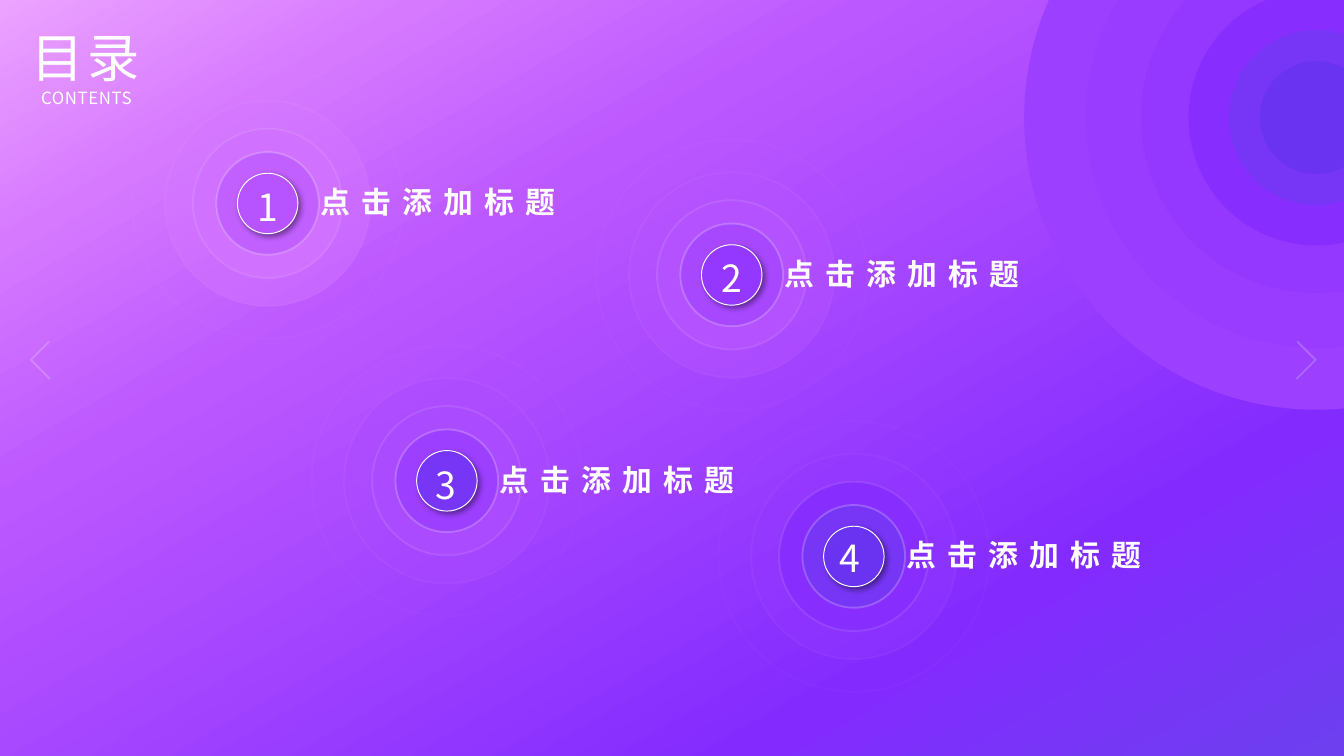
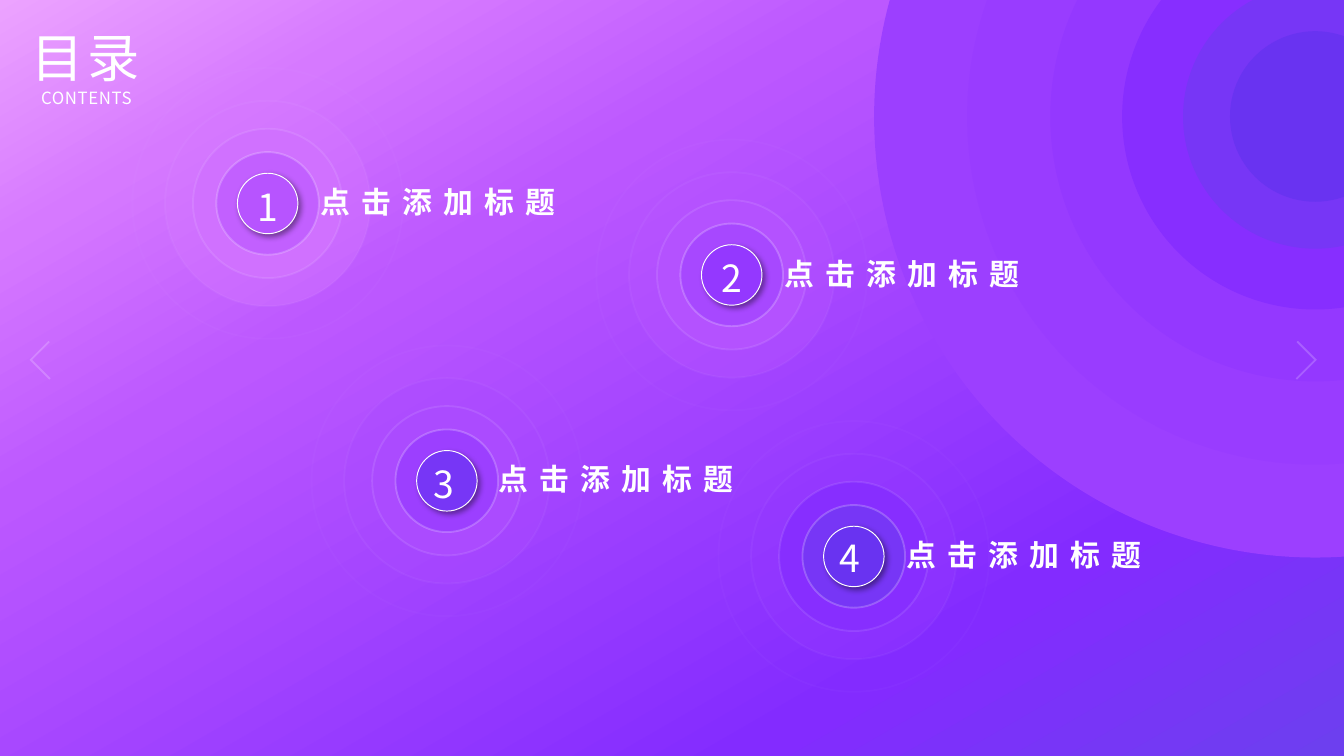
from dataclasses import dataclass

from pptx import Presentation
from pptx.dml.color import RGBColor
from pptx.enum.shapes import MSO_SHAPE
from pptx.enum.text import MSO_AUTO_SIZE, PP_ALIGN
from pptx.oxml import parse_xml
from pptx.oxml.ns import nsdecls, qn
from pptx.presentation import Presentation as Deck
from pptx.shapes.autoshape import Shape
from pptx.shapes.shapetree import GroupShapes, SlideShapes
from pptx.slide import Slide
from pptx.util import Pt

WIDTH, HEIGHT = 720, 405
FONT = "Noto Sans CJK SC"

WHITE = RGBColor(0xFF, 0xFF, 0xFF)
BLACK = RGBColor(0x00, 0x00, 0x00)
PINK = RGBColor(0xEC, 0xA3, 0xFF)
PALE_ORCHID = RGBColor(0xD6, 0x79, 0xFF)
ORCHID = RGBColor(0xD5, 0x78, 0xFF)
DEEP_ORCHID = RGBColor(0xD0, 0x71, 0xFF)
MAUVE = RGBColor(0xC2, 0x60, 0xFF)
LILAC = RGBColor(0xBC, 0x58, 0xFF)
HELIOTROPE = RGBColor(0xB7, 0x54, 0xFF)
AMETHYST = RGBColor(0xB4, 0x52, 0xFF)
LAVENDER = RGBColor(0xAB, 0x4B, 0xFF)
WISTERIA = RGBColor(0xAA, 0x4A, 0xFF)
IRIS = RGBColor(0xA7, 0x48, 0xFF)
PURPLE = RGBColor(0x9C, 0x3F, 0xFF)
GRAPE = RGBColor(0x99, 0x3C, 0xFF)
VIOLET = RGBColor(0x94, 0x38, 0xFF)
DEEP_VIOLET = RGBColor(0x87, 0x2E, 0xFF)
ELECTRIC = RGBColor(0x83, 0x2B, 0xFF)
INDIGO = RGBColor(0x77, 0x36, 0xF6)
SLATE = RGBColor(0x6D, 0x3F, 0xEF)
DEEP_INDIGO = RGBColor(0x69, 0x33, 0xF1)

BACKDROP_STOPS = (
    (0, PINK), (16, PALE_ORCHID), (33, LILAC), (77, ELECTRIC), (100, SLATE),
)
SUN_RINGS = (
    (313, PURPLE), (247, GRAPE), (188, VIOLET),
    (137, DEEP_VIOLET), (93.8, INDIGO), (60.5, DEEP_INDIGO),
)
HALO_SIZES = (110, 80, 55)
HALO_LINE_OPACITIES = (4, 9, 22)
HALO_FILL_OPACITIES = (40, 100, 100)
OUTER_RING_SIZE, DISC_SIZE = 145, 32.4


@dataclass(frozen=True)
class TextStyle:
    size: float
    spacing: float
    bold: bool = False
    align: PP_ALIGN | None = None
    wrap: bool = True


@dataclass(frozen=True)
class Entry:
    number: str
    x: float
    y: float
    number_dx: float
    number_dy: float
    halo: tuple[RGBColor, RGBColor, RGBColor]
    disc: RGBColor
    title: str = "点击添加标题"


@dataclass(frozen=True)
class ContentsPage:
    sun_x: float
    sun_y: float
    sun_scale: float
    text_nudges: dict[str, tuple[float, float]]


HEADING = TextStyle(28, 1.7, align=PP_ALIGN.JUSTIFY)
SUBHEADING = TextStyle(9, 0.3, wrap=False)
NUMBER = TextStyle(20, 6)
ENTRY_TITLE = TextStyle(16, 6, bold=True)

ENTRIES = (
    Entry("1", 143.4, 109, -12.5, -14, (ORCHID, DEEP_ORCHID, MAUVE), HELIOTROPE),
    Entry("2", 392, 147.3, -12.5, -14, (HELIOTROPE, AMETHYST, IRIS), VIOLET),
    Entry("3", 239.4, 257.6, -13.3, -13.5, (WISTERIA, LAVENDER, PURPLE), INDIGO),
    Entry("4", 457.4, 298.1, -14.6, -15.1, (VIOLET, DEEP_VIOLET, INDIGO), DEEP_INDIGO),
)
PAGES = (
    ContentsPage(705.2, 63, 1, {}),
    ContentsPage(704.6, 62.4, 1.51, {"3": (-0.8, -0.6)}),
)


def set_opacity(shape: Shape, part: str, percent: float) -> None:
    for color in shape.element.spPr.find(qn(part)).iter(qn("a:srgbClr")):
        color.append(parse_xml(
            f'<a:alpha {nsdecls("a")} val="{round(percent * 1000)}"/>'))


def add_circle(
    shapes: SlideShapes | GroupShapes,
    x: float,
    y: float,
    size: float,
    fill: RGBColor | None = None,
    fill_opacity: float = 100,
    line_width: float = 0,
    line_opacity: float = 100,
) -> Shape:
    circle = shapes.add_shape(
        MSO_SHAPE.OVAL, Pt(x - size / 2), Pt(y - size / 2), Pt(size), Pt(size))
    circle.shadow.inherit = False
    if fill is None:
        circle.fill.background()
    else:
        circle.fill.solid()
        circle.fill.fore_color.rgb = fill
        if fill_opacity < 100:
            set_opacity(circle, "a:solidFill", fill_opacity)
    if line_width:
        circle.line.width = Pt(line_width)
        circle.line.color.rgb = WHITE
        if line_opacity < 100:
            set_opacity(circle, "a:ln", line_opacity)
    else:
        circle.line.fill.background()
    return circle


def add_text(
    slide: Slide,
    text: str,
    box: tuple[float, float, float, float],
    style: TextStyle,
) -> None:
    frame = slide.shapes.add_textbox(*map(Pt, box)).text_frame
    frame.word_wrap = style.wrap
    frame.auto_size = MSO_AUTO_SIZE.SHAPE_TO_FIT_TEXT
    paragraph = frame.paragraphs[0]
    if style.align is not None:
        paragraph.alignment = style.align
    run = paragraph.add_run()
    run.text = text
    run.font.size = Pt(style.size)
    run.font.bold = style.bold
    run.font.color.rgb = WHITE
    run.font.name = FONT
    properties = run.font._element
    properties.set("spc", str(round(style.spacing * 100)))
    properties.append(parse_xml(f'<a:ea {nsdecls("a")} typeface="{FONT}"/>'))


def add_backdrop(slide: Slide) -> None:
    backdrop = slide.shapes.add_shape(
        MSO_SHAPE.RECTANGLE, 0, 0, Pt(WIDTH), Pt(HEIGHT))
    backdrop.shadow.inherit = False
    backdrop.line.fill.background()
    stops = "".join(
        f'<a:gs pos="{position * 1000}"><a:srgbClr val="{color}"/></a:gs>'
        for position, color in BACKDROP_STOPS)
    gradient = parse_xml(
        f'<a:gradFill {nsdecls("a")} rotWithShape="1"><a:gsLst>{stops}</a:gsLst>'
        '<a:lin ang="3600000" scaled="0"/></a:gradFill>')
    backdrop.element.spPr.find(qn("a:prstGeom")).addnext(gradient)


def add_sun(slide: Slide, page: ContentsPage) -> None:
    sun = slide.shapes.add_group_shape().shapes
    for size, color in SUN_RINGS:
        add_circle(sun, page.sun_x, page.sun_y, size * page.sun_scale, color)


def add_chevron(slide: Slide, left: float, rotation: float, flipped: bool) -> None:
    chevron = slide.shapes.add_shape(
        MSO_SHAPE.CORNER, Pt(left), Pt(185.8), Pt(15), Pt(14.4))
    chevron.adjustments[0] = chevron.adjustments[1] = 0.07
    chevron.rotation = rotation
    if flipped:
        chevron.element.spPr.find(qn("a:xfrm")).set("flipH", "1")
    chevron.shadow.inherit = False
    chevron.line.fill.background()
    chevron.fill.solid()
    chevron.fill.fore_color.rgb = WHITE
    set_opacity(chevron, "a:solidFill", 20)


def add_entry(slide: Slide, entry: Entry, nudge: tuple[float, float]) -> None:
    badge = slide.shapes.add_group_shape().shapes
    for size, color, fill_opacity, line_opacity in zip(
            HALO_SIZES, entry.halo, HALO_FILL_OPACITIES, HALO_LINE_OPACITIES):
        add_circle(badge, entry.x, entry.y, size, color, fill_opacity, 1, line_opacity)
    add_circle(badge, entry.x, entry.y, OUTER_RING_SIZE, line_width=1, line_opacity=2)
    disc = add_circle(badge, entry.x, entry.y, DISC_SIZE, entry.disc, line_width=0.5)
    disc.element.spPr.find(qn("a:effectLst")).append(parse_xml(
        f'<a:outerShdw {nsdecls("a")} blurRad="{Pt(3)}" dist="{Pt(2)}" '
        'dir="2700000" algn="tl" rotWithShape="0">'
        f'<a:srgbClr val="{BLACK}"><a:alpha val="40000"/></a:srgbClr></a:outerShdw>'))
    x, y = entry.x + nudge[0], entry.y + nudge[1]
    add_text(slide, entry.number,
             (x + entry.number_dx, y + entry.number_dy, 16.6, 31.5), NUMBER)
    add_text(slide, entry.title, (x + 21.3, y - 13.9, 149, 26.6), ENTRY_TITLE)


def add_contents_slide(deck: Deck, page: ContentsPage) -> None:
    slide = deck.slides.add_slide(deck.slide_layouts[6])
    add_backdrop(slide)
    add_sun(slide, page)
    add_text(slide, "目录", (10, 10, 83.5, 41), HEADING)
    add_text(slide, "CONTENTS", (15, 43.2, 73.5, 18), SUBHEADING)
    add_chevron(slide, 18.7, 45, False)
    add_chevron(slide, 687.6, 315, True)
    for entry in ENTRIES:
        add_entry(slide, entry, page.text_nudges.get(entry.number, (0, 0)))


def main() -> None:
    deck = Presentation()
    deck.slide_width, deck.slide_height = Pt(WIDTH), Pt(HEIGHT)
    for page in PAGES:
        add_contents_slide(deck, page)
    deck.save("out.pptx")


main()
